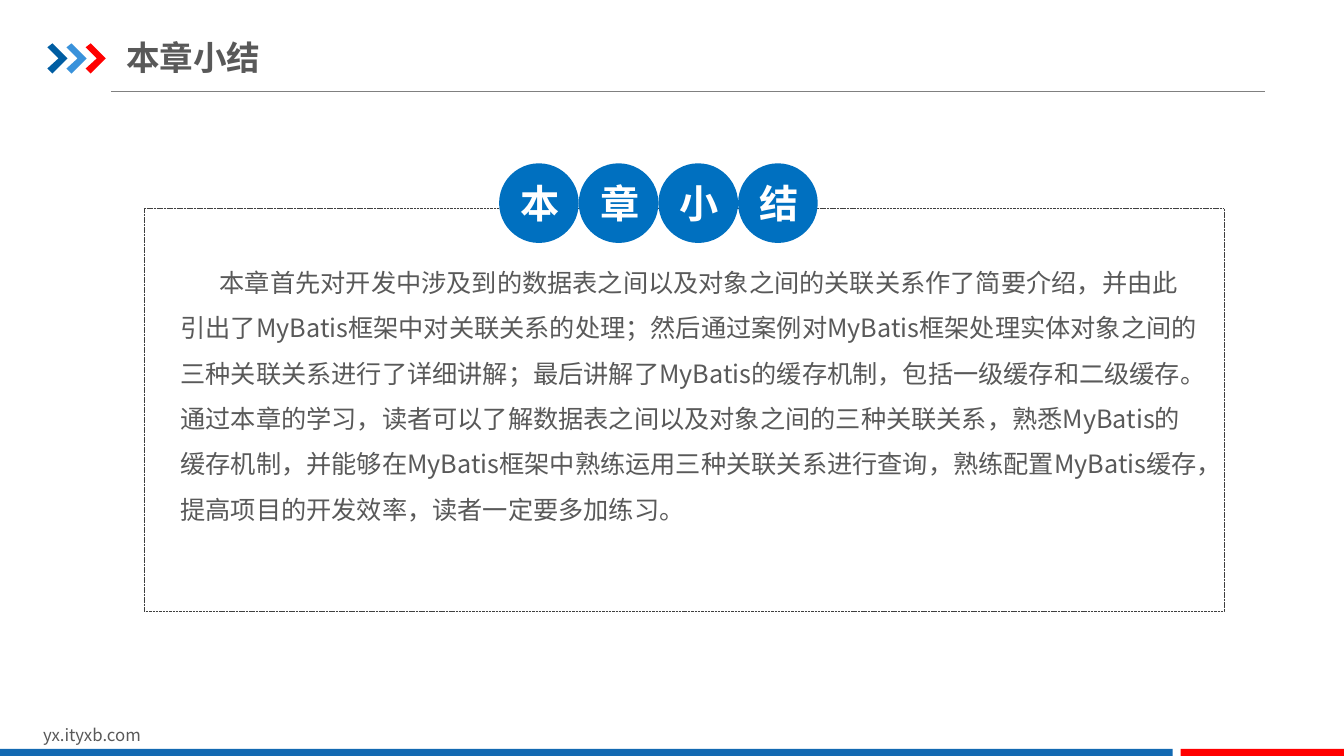
"""Build the chapter summary slide."""
from lxml.etree import SubElement
from pptx import Presentation
from pptx.dml.color import RGBColor
from pptx.enum.dml import MSO_LINE
from pptx.enum.shapes import MSO_CONNECTOR, MSO_SHAPE as Kind
from pptx.enum.text import MSO_ANCHOR as Anchor, MSO_AUTO_SIZE as Fit, PP_ALIGN as Align
from pptx.oxml.ns import qn
from pptx.util import Inches, Pt

FONT = "Noto Sans CJK SC"
COLORS = {
    "text": "595959", "white": "FFFFFF", "rule": "808080", "frame": "404040",
    "navy": "005DA2", "sky": "3992DB", "red": "FF0000", "bar": "1369B2",
    "disc": "0070C0",
}
TITLE = "本章小结"
SITE = "yx.ityxb.com"
BODY = (
    "本章首先对开发中涉及到的数据表之间以及对象之间的关联关系作了简要介绍，"
    "并由此引出了MyBatis框架中对关联关系的处理；然后通过案例对MyBatis框架处理"
    "实体对象之间的三种关联关系进行了详细讲解；最后讲解了MyBatis的缓存机制，"
    "包括一级缓存和二级缓存。通过本章的学习，读者可以了解数据表之间以及对象之间的"
    "三种关联关系，熟悉MyBatis的缓存机制，并能够在MyBatis框架中熟练运用三种关联"
    "关系进行查询，熟练配置MyBatis缓存，提高项目的开发效率，读者一定要多加练习。"
)


def color(name):
    return RGBColor.from_string(COLORS[name])


def place(shape, *box):
    for name, value in zip(("left", "top", "width", "height"), box):
        setattr(shape, name, Inches(value))


def write(shape, text, size, tint="text", bold=False, align=Align.LEFT,
          anchor=Anchor.TOP, pad=(0.1, 0.05)):
    frame = shape.text_frame
    across, down = map(Inches, pad)
    look = {
        "auto_size": Fit.NONE, "word_wrap": True, "vertical_anchor": anchor,
        "margin_left": across, "margin_right": across,
        "margin_top": down, "margin_bottom": down,
    }
    for name, value in look.items():
        setattr(frame, name, value)
    para = frame.paragraphs[0]
    para.alignment = align
    run = para.add_run()
    run.text = text
    for name, value in {"name": FONT, "size": Pt(size), "bold": bold}.items():
        setattr(run.font, name, value)
    run.font.color.rgb = color(tint)
    SubElement(run.font._element, qn("a:ea"), typeface=FONT)
    return para


def paint(shape, tint):
    shape.shadow.inherit = False
    shape.fill.solid()
    shape.fill.fore_color.rgb = color(tint)
    shape.line.fill.background()


def add_solid(slide, kind, tint, *box):
    shape = slide.shapes.add_shape(kind, *map(Inches, box))
    paint(shape, tint)
    return shape


def add_arrow(slide, left, tint):
    top = 0.43
    points = [(0, 0.04), (0.05, 0), (0.2, 0.15), (0.05, 0.3), (0, 0.25), (0.11, 0.15)]
    spots = [(Inches(left + x), Inches(top + y)) for x, y in points]
    path = slide.shapes.build_freeform(*spots[0])
    path.add_line_segments(spots[1:], close=True)
    paint(path.convert_to_shape(), tint)


def add_rule(slide, *ends):
    rule = slide.shapes.add_connector(MSO_CONNECTOR.STRAIGHT, *map(Inches, ends))
    rule.line.color.rgb = color("rule")
    rule.line.width = Pt(0.5)
    SubElement(rule._element.spPr, qn("a:effectLst"))


def add_frame(slide, *box):
    frame = add_solid(slide, Kind.RECTANGLE, "white", *box)
    frame.fill.background()
    frame.line.color.rgb = color("frame")
    frame.line.width = Pt(0.25)
    frame.line.dash_style = MSO_LINE.SQUARE_DOT


def add_text(slide, box, text, size, **look):
    return write(slide.shapes.add_textbox(*map(Inches, box)), text, size, **look)


def main():
    deck = Presentation()
    deck.slide_width, deck.slide_height = Inches(13.33), Inches(7.5)
    slide = deck.slides.add_slide(deck.slide_layouts[5])

    add_rule(slide, 1.1, 0.91, 12.55, 0.91)
    for i, tint in enumerate(("navy", "sky", "red")):
        add_arrow(slide, 0.47 + 0.19 * i, tint)
    add_text(slide, (0.33, 7.14, 3.18, 0.3), SITE, 12)
    add_solid(slide, Kind.RECTANGLE, "bar", 0, 7.43, 11.63, 0.07)
    add_solid(slide, Kind.RECTANGLE, "red", 11.71, 7.43, 1.62, 0.07)

    title = slide.shapes.title
    place(title, 1.25, 0.29, 4.26, 0.55)
    write(title, TITLE, 24, bold=True, anchor=Anchor.MIDDLE, pad=(0, 0.07))

    add_frame(slide, 1.43, 2.07, 10.71, 3.99)
    size = 0.79
    for i, char in enumerate(TITLE):
        disc = add_solid(slide, Kind.OVAL, "disc", 4.95 + size * i, 1.62, size, size)
        write(disc, char, 28, "white", True, Align.CENTER, Anchor.MIDDLE)

    para = add_text(slide, (1.66, 2.43, 10.39, 2.81), BODY, 18, pad=(0.13, 0.07))
    para.line_spacing = 1.5
    para._p.get_or_add_pPr().set("indent", str(Inches(0.39)))
    deck.save("out.pptx")


if __name__ == "__main__":
    main()
